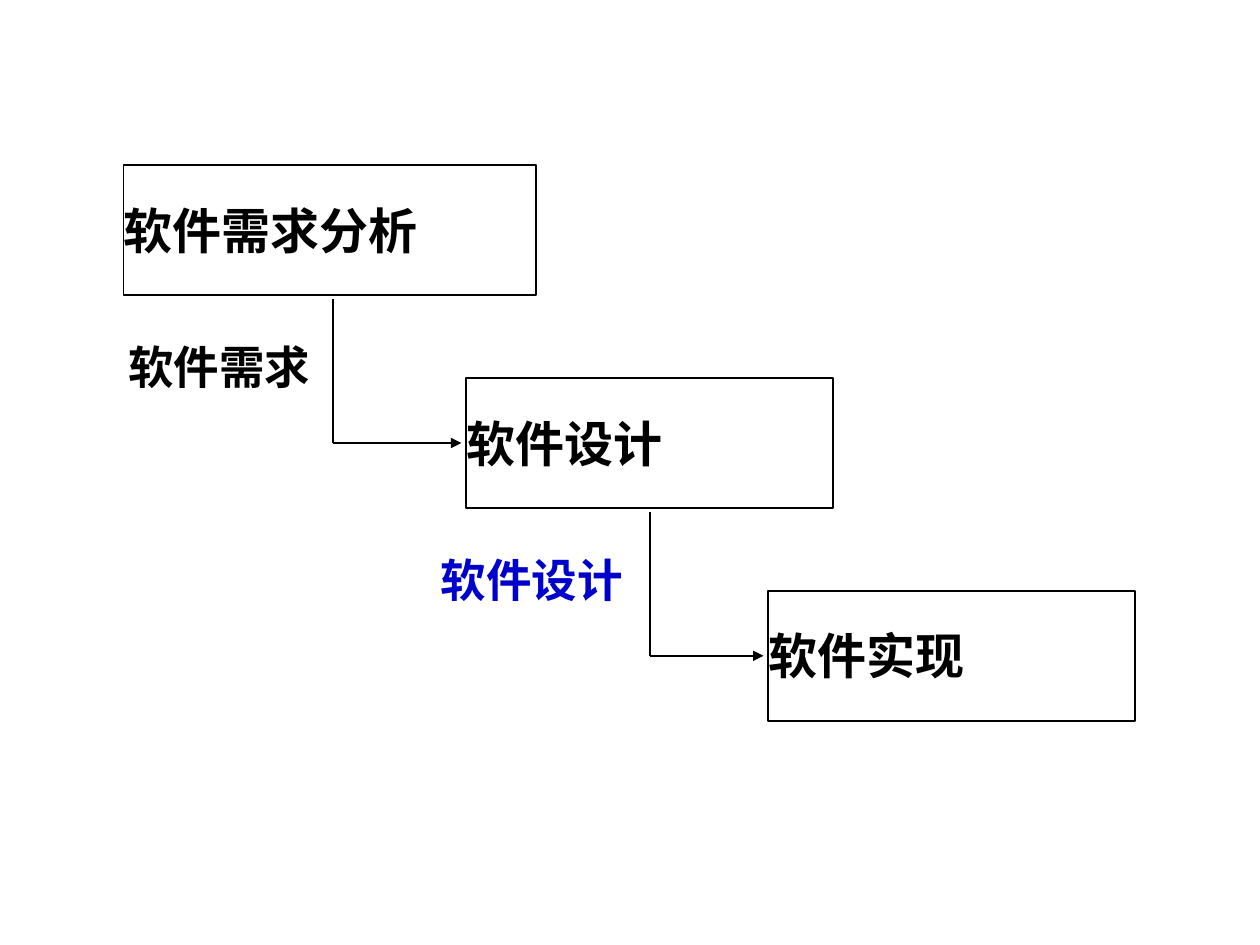
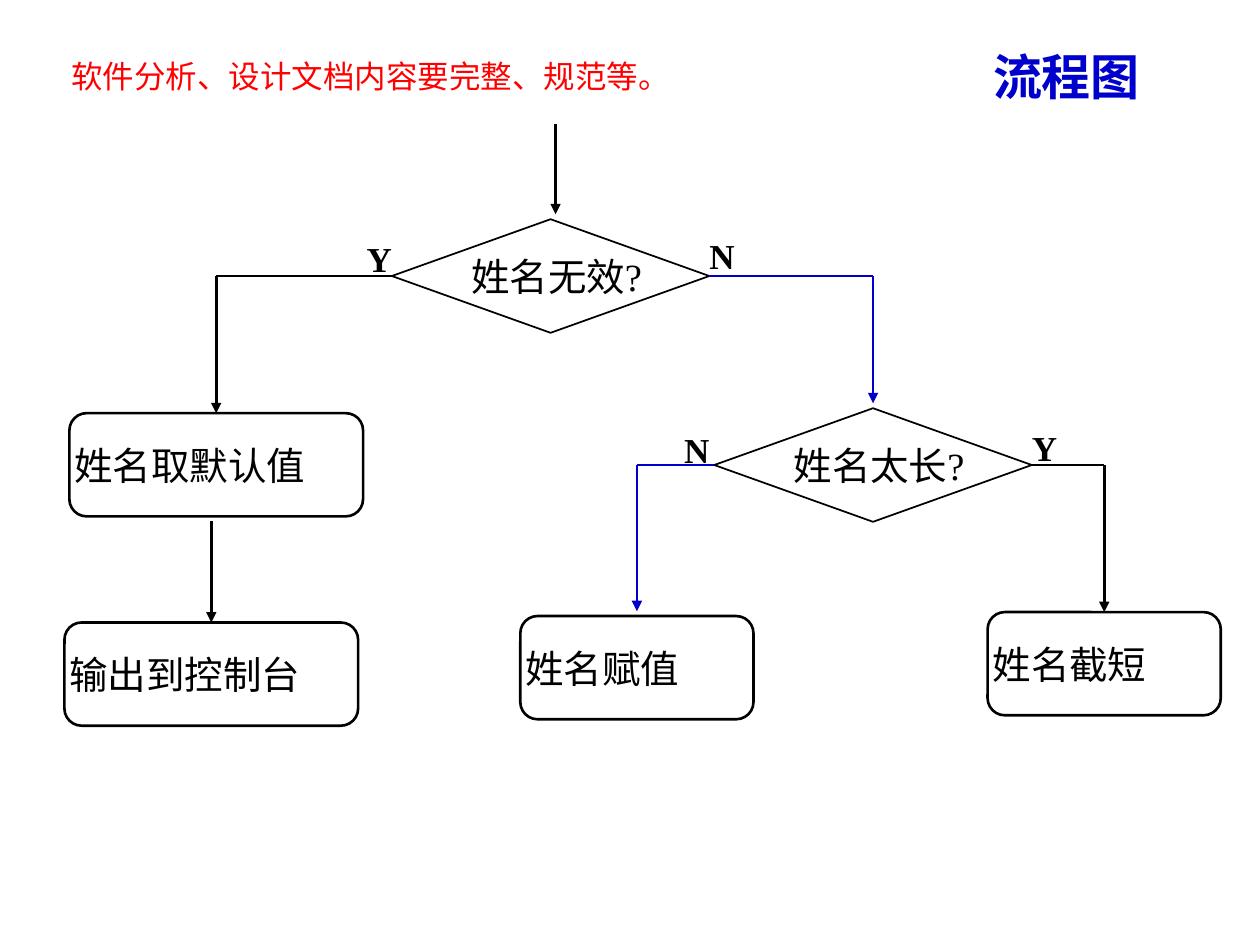
"""Builds two slides: the software development steps and a name-checking flowchart."""
import dataclasses

import lxml.etree
import pptx
import pptx.dml.color
import pptx.enum.shapes
import pptx.enum.text
import pptx.oxml.ns
import pptx.util

Cm = pptx.util.Cm
SHAPES = pptx.enum.shapes.MSO_SHAPE
ANCHOR = pptx.enum.text.MSO_ANCHOR
TOP, LEFT, BOTTOM, RIGHT = range(4)


@dataclasses.dataclass(frozen=True)
class Theme:
    black: str = "000000"
    blue: str = "0000CC"
    red: str = "FF0000"
    white: str = "FFFFFF"
    chinese: str = "Noto Sans CJK SC"
    serif: str = "Times New Roman"
    sans: str = "Calibri"
    heading: int = 28
    label: int = 26
    body: int = 22
    answer: int = 20
    note: int = 18
    thin: float = 1
    thick: float = 1.5


class Diagram:
    """Holds the theme and the current slide, and draws each kind of element."""

    def __init__(self, presentation, theme):
        self.presentation = presentation
        self.theme = theme
        self.slide = None

    def new_slide(self):
        self.slide = self.presentation.slides.add_slide(self.presentation.slide_layouts[6])

    def set_text(self, shape, text, size, font, color=None, bold=False, inset=(0, 0),
                 anchor=ANCHOR.TOP, wrap=True):
        frame = shape.text_frame
        side, vertical = map(Cm, inset)
        frame_format = {"margin_left": side, "margin_right": side, "margin_top": vertical,
                        "margin_bottom": vertical, "vertical_anchor": anchor, "word_wrap": wrap}
        for name, value in frame_format.items():
            setattr(frame, name, value)
        paragraph = frame.paragraphs[0]
        paragraph.alignment = pptx.enum.text.PP_ALIGN.LEFT
        run = paragraph.add_run()
        run.text = text
        run.font.color.rgb = pptx.dml.color.RGBColor.from_string(color or self.theme.black)
        for name, value in {"size": pptx.util.Pt(size), "bold": bold, "name": font}.items():
            setattr(run.font, name, value)
        east_asian = lxml.etree.SubElement(run.font._element, pptx.oxml.ns.qn("a:ea"))
        east_asian.set("typeface", self.theme.chinese)

    def text(self, area, text, size, font, **style):
        self.set_text(self.slide.shapes.add_textbox(*map(Cm, area)), text, size, font, **style)

    def shape(self, kind, area, text, size, font, weight=None, fill=None, **style):
        shape = self.slide.shapes.add_shape(kind, *map(Cm, area))
        shape.shadow.inherit = False
        if fill:
            shape.fill.solid()
            shape.fill.fore_color.rgb = pptx.dml.color.RGBColor.from_string(fill)
        else:
            shape.fill.background()
        if weight:
            shape.line.width = pptx.util.Pt(weight)
            shape.line.color.rgb = pptx.dml.color.RGBColor.from_string(self.theme.black)
        else:
            shape.line.fill.background()
        self.set_text(shape, text, size, font, **style)
        return shape

    def step(self, area, text):
        return self.shape(SHAPES.RECTANGLE, area, text, self.theme.heading, self.theme.chinese,
                          weight=self.theme.thin, bold=True, inset=(0, 0.71))

    def decision(self, left, top, text):
        return self.shape(SHAPES.DIAMOND, (left, top, 6.4, 2.29), text, self.theme.body,
                          self.theme.serif, weight=self.theme.thin, inset=(0, 0.2),
                          anchor=ANCHOR.MIDDLE)

    def action(self, left, top, width, text):
        return self.shape(SHAPES.ROUNDED_RECTANGLE, (left, top, width, 2.08), text,
                          self.theme.body, self.theme.serif, weight=self.theme.thick,
                          inset=(0, 0.51), anchor=ANCHOR.MIDDLE)

    def answer(self, left, top, text):
        self.text((left, top, 0.71, 0.84), text, self.theme.answer, self.theme.serif, bold=True)

    def line(self, start, end, weight, color=None, arrow=False, source=None, target=None):
        connector = self.slide.shapes.add_connector(
            pptx.enum.shapes.MSO_CONNECTOR.STRAIGHT, *start, *end)
        connector.line.width = pptx.util.Pt(weight)
        connector.line.color.rgb = pptx.dml.color.RGBColor.from_string(color or self.theme.black)
        if arrow:
            outline = connector._element.spPr.find(pptx.oxml.ns.qn("a:ln"))
            tail = lxml.etree.SubElement(outline, pptx.oxml.ns.qn("a:tailEnd"))
            tail.set("type", "triangle")
        lxml.etree.SubElement(connector._element.spPr, pptx.oxml.ns.qn("a:effectLst"))
        if source:
            connector.begin_connect(*source)
        if target:
            connector.end_connect(*target)

    def step_down(self, source, target, x):
        corner = (x, target.top + target.height // 2)
        self.line((x, source.top + source.height + Cm(0.08)), corner, self.theme.thin)
        self.line(corner, (target.left - Cm(0.1), corner[1]), self.theme.thin, arrow=True)

    def branch(self, decision, side, target, color=None, gap=0):
        start_x = decision.left + (decision.width if side == RIGHT else 0)
        corner = (target.left + target.width // 2, decision.top + decision.height // 2)
        self.line((start_x, corner[1]), corner, self.theme.thick, color, source=(decision, side))
        self.line(corner, (corner[0], target.top - Cm(gap)), self.theme.thick, color, arrow=True,
                  target=None if gap else (target, TOP))


def draw_steps(diagram):
    theme = diagram.theme
    diagram.new_slide()
    columns = [(2.49, 8.31, "软件需求分析"), (9.4, 7.39, "软件设计"), (15.49, 7.39, "软件实现")]
    steps = [diagram.step((left, 3.33 + 4.29 * row, width, 2.62), text)
             for row, (left, width, text) in enumerate(columns)]
    for source, target, x in zip(steps, steps[1:], (6.71, 13.11)):
        diagram.step_down(source, target, Cm(x))
    results = [(2.59, 3.91, "软件需求", theme.black), (8.89, 4.19, "软件设计", theme.blue)]
    for row, (left, width, text, color) in enumerate(results):
        diagram.text((left, 6.83 + 4.29 * row, width, 1.09), text, theme.label, theme.chinese,
                     color=color, bold=True)


def draw_flowchart(diagram):
    theme = diagram.theme
    diagram.new_slide()
    diagram.shape(SHAPES.RECTANGLE, (20.02, 0.64, 4.09, 1.78), "流程图", theme.heading,
                  theme.serif, fill=theme.white, color=theme.blue, bold=True, inset=(0, 0.3))
    diagram.text((1.19, 1.02, 12.7, 1.02), "软件分析、设计文档内容要完整、规范等。", theme.note,
                 theme.sans, color=theme.red, inset=(0.25, 0.13), wrap=False)
    invalid = diagram.decision(7.9, 4.42, "姓名无效?")
    too_long = diagram.decision(14.4, 8.23, "姓名太长?")
    default = diagram.action(1.4, 8.33, 5.92, "姓名取默认值")
    output = diagram.action(1.3, 12.55, 5.92, "输出到控制台")
    assign = diagram.action(10.49, 12.42, 4.7, "姓名赋值")
    shorten = diagram.action(19.91, 12.34, 4.7, "姓名截短")

    diagram.line((Cm(11.2), Cm(2.51)), (Cm(11.2), Cm(4.32)), theme.thick, arrow=True)
    diagram.branch(invalid, LEFT, default)
    diagram.branch(invalid, RIGHT, too_long, theme.blue, gap=0.1)
    diagram.branch(too_long, LEFT, assign, theme.blue, gap=0.1)
    diagram.branch(too_long, RIGHT, shorten)
    output_x = output.left + output.width // 2
    diagram.line((output_x, default.top + default.height + Cm(0.1)), (output_x, output.top),
                 theme.thick, arrow=True, target=(output, TOP))
    answers = [(7.39, 4.78, "Y"), (14.3, 4.72, "N"), (13.79, 8.64, "N"), (20.8, 8.59, "Y")]
    for left, top, text in answers:
        diagram.answer(left, top, text)


def main():
    presentation = pptx.Presentation()
    presentation.slide_width, presentation.slide_height = Cm(25.4), Cm(19.05)
    diagram = Diagram(presentation, Theme())
    draw_steps(diagram)
    draw_flowchart(diagram)
    presentation.save("out.pptx")


if __name__ == "__main__":
    main()
